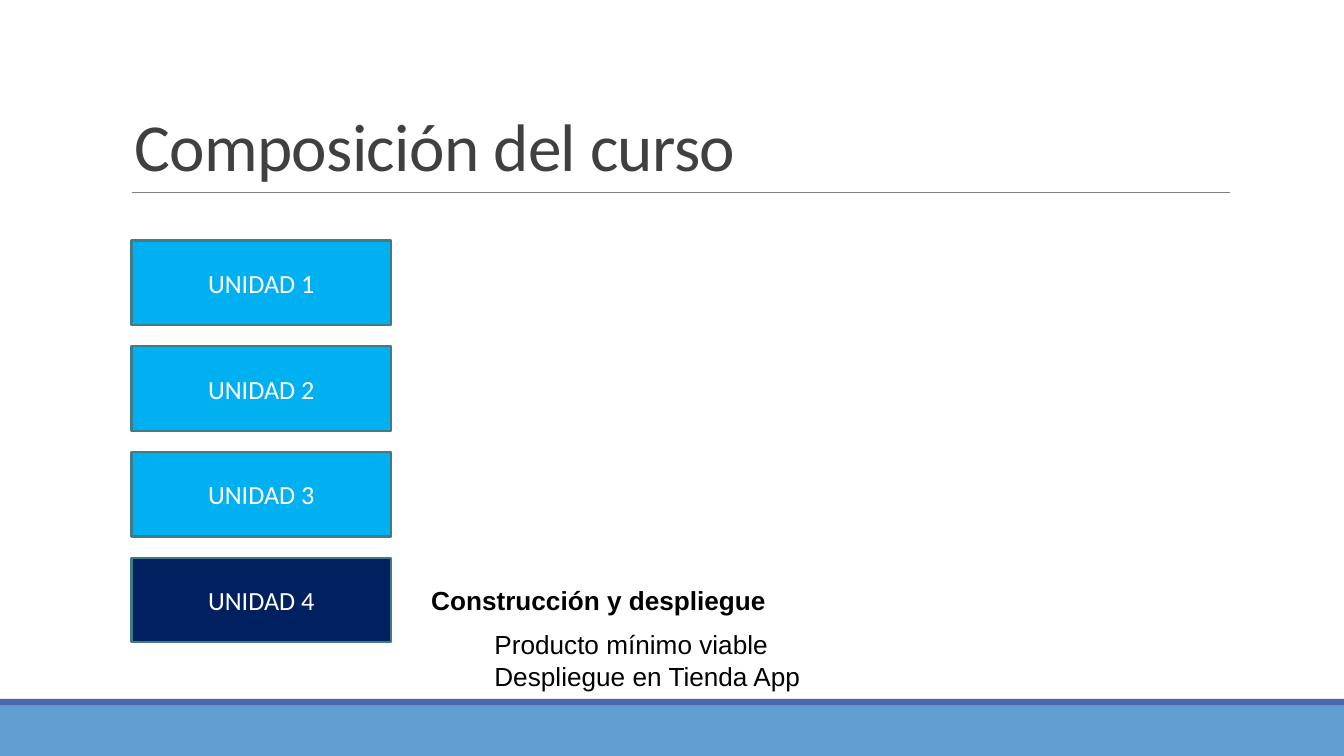
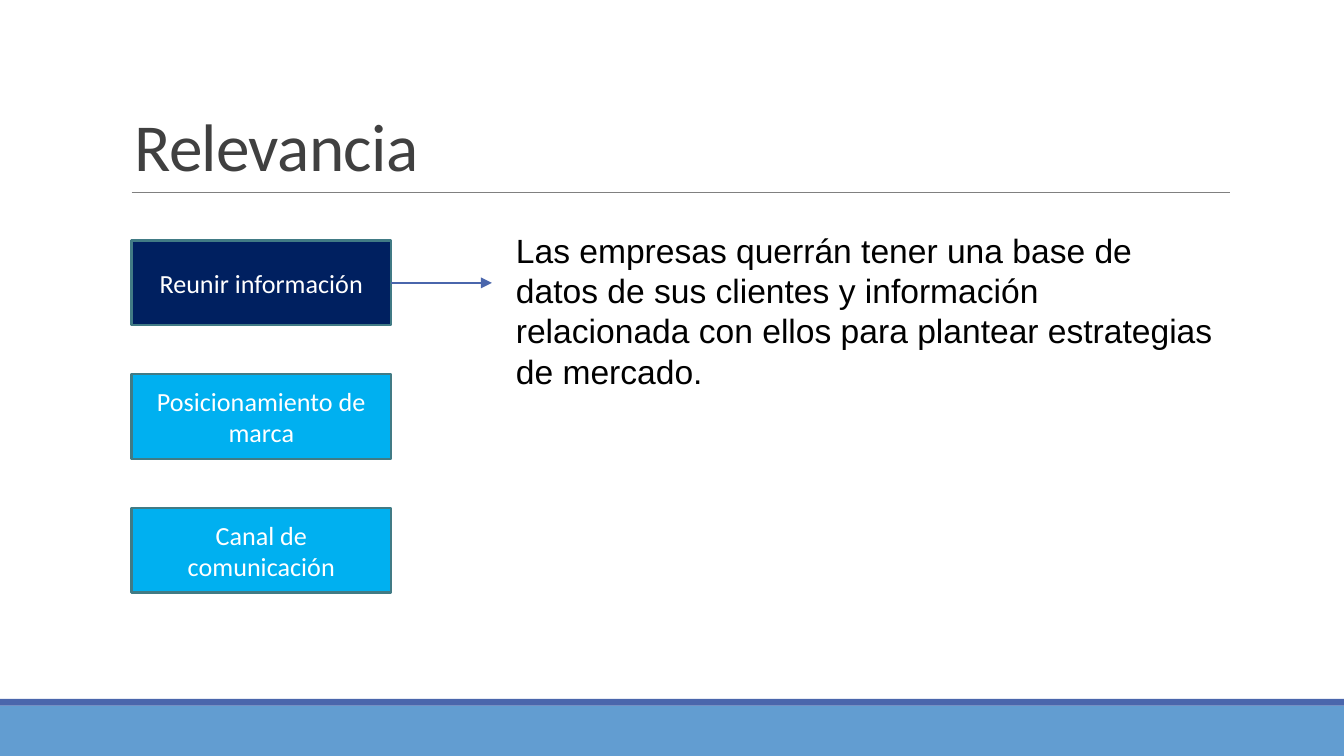
from dataclasses import dataclass

from lxml.etree import SubElement
from pptx import Presentation
from pptx.dml.color import RGBColor
from pptx.enum.shapes import MSO_CONNECTOR, MSO_SHAPE
from pptx.enum.text import MSO_ANCHOR, MSO_AUTO_SIZE, PP_ALIGN
from pptx.oxml.ns import qn
from pptx.util import Inches, Pt

COLORS = {
    "band": "629DD1",
    "accent": "4A66AC",
    "rule": "808080",
    "title": "404040",
    "button": "00B0F0",
    "active": "002060",
    "outline": "417B85",
    "white": "FFFFFF",
    "black": "000000",
}
TITLE_FONT = "Calibri"
BODY_FONT = "Arial"
SLIDE_WIDTH = 10
SLIDE_HEIGHT = SLIDE_WIDTH * 9 / 16
BUTTON_HEIGHT = 0.63


@dataclass
class Box:
    left: float
    top: float
    width: float
    height: float

    @property
    def right(self):
        return self.left + self.width

    @property
    def middle(self):
        return self.top + self.height / 2

    def lengths(self):
        return [Inches(side) for side in (self.left, self.top, self.width, self.height)]


def color(name):
    return RGBColor.from_string(COLORS[name])


def add_span(para, text, font, size, shade, bold=False):
    span = para.add_run()
    span.text = text
    span.font.name = font
    span.font.size = Pt(size)
    span.font.bold = bold
    span.font.color.rgb = color(shade)
    return span


def add_rectangle(page, box, fill, outline=None):
    shape = page.shapes.add_shape(MSO_SHAPE.RECTANGLE, *box.lengths())
    shape.shadow.inherit = False
    shape.fill.solid()
    shape.fill.fore_color.rgb = color(fill)
    if outline:
        shape.line.color.rgb = color(outline)
        shape.line.width = Pt(1.25)
    else:
        shape.line.fill.background()
    return shape


def add_line(page, left, right, height, shade, width, arrow=False):
    line = page.shapes.add_connector(
        MSO_CONNECTOR.STRAIGHT, Inches(left), Inches(height), Inches(right), Inches(height)
    )
    line.line.color.rgb = color(shade)
    line.line.width = Pt(width)
    if arrow:
        SubElement(line.line._get_or_add_ln(), qn("a:tailEnd"), type="triangle")
    SubElement(line._element.spPr, qn("a:effectLst"))


def add_title(page, box, text):
    title = page.shapes.title
    title.left, title.top, title.width, title.height = box.lengths()
    frame = title.text_frame
    frame.auto_size = MSO_AUTO_SIZE.NONE
    frame.vertical_anchor = MSO_ANCHOR.BOTTOM
    para = frame.paragraphs[0]
    para.alignment = PP_ALIGN.LEFT
    para.line_spacing = 0.85
    span = add_span(para, text, TITLE_FONT, 36, "title")
    span._r.get_or_add_rPr().set("spc", "-38")


def add_page(deck, title):
    page = deck.slides.add_slide(deck.slide_layouts[5])
    add_rectangle(page, Box(0, 5.25, SLIDE_WIDTH, SLIDE_HEIGHT - 5.25), "band")
    add_rectangle(page, Box(0, 5.2, SLIDE_WIDTH, 0.05), "accent")
    add_line(page, 0.98, 9.15, 1.43, "rule", 0.5)
    add_title(page, Box(0.9, 0.24, 8.25, 1.19), title)
    return page


def add_buttons(page, area, labels, active):
    step = (area.height - BUTTON_HEIGHT) / (len(labels) - 1)
    buttons = []
    for index, label in enumerate(labels):
        box = Box(area.left, area.top + index * step, area.width, BUTTON_HEIGHT)
        fill = "active" if label == active else "button"
        frame = add_rectangle(page, box, fill, "outline").text_frame
        frame.word_wrap = True
        frame.vertical_anchor = MSO_ANCHOR.MIDDLE
        para = frame.paragraphs[0]
        para.alignment = PP_ALIGN.CENTER
        add_span(para, label, TITLE_FONT, 14, "white")
        buttons.append(box)
    return buttons


def add_text(page, box, lines, size, bold=False):
    frame = page.shapes.add_textbox(*box.lengths()).text_frame
    frame.word_wrap = True
    for index, line in enumerate(lines):
        para = frame.add_paragraph() if index else frame.paragraphs[0]
        add_span(para, line, BODY_FONT, size, "black", bold)


def add_course_page(deck):
    page = add_page(deck, "Composición del curso")
    units = [f"UNIDAD {number}" for number in range(1, 5)]
    add_buttons(page, Box(0.98, 1.79, 1.93, 2.99), units, units[-1])
    topics = ["Producto mínimo viable", "Despliegue en Tienda App"]
    add_text(page, Box(3.58, 4.63, 4.09, 0.81), topics, 14)
    add_text(page, Box(3.11, 4.3, 4.09, 0.34), ["Construcción y despliegue"], 14, bold=True)


def add_relevance_page(deck):
    page = add_page(deck, "Relevancia")
    reasons = ["Reunir información", "Posicionamiento de marca", "Canal de comunicación"]
    buttons = add_buttons(page, Box(0.98, 1.79, 1.93, 2.62), reasons, reasons[0])
    explanation = (
        "Las empresas querrán tener una base de datos de sus clientes y información "
        "relacionada con ellos para plantear estrategias de mercado."
    )
    add_text(page, Box(3.74, 1.66, 5.41, 1.31), [explanation], 18)
    add_line(page, buttons[0].right, 3.66, buttons[0].middle, "accent", 1, arrow=True)


def main():
    deck = Presentation()
    deck.slide_width = Inches(SLIDE_WIDTH)
    deck.slide_height = Inches(SLIDE_HEIGHT)
    add_course_page(deck)
    add_relevance_page(deck)
    deck.save("out.pptx")


if __name__ == "__main__":
    main()
